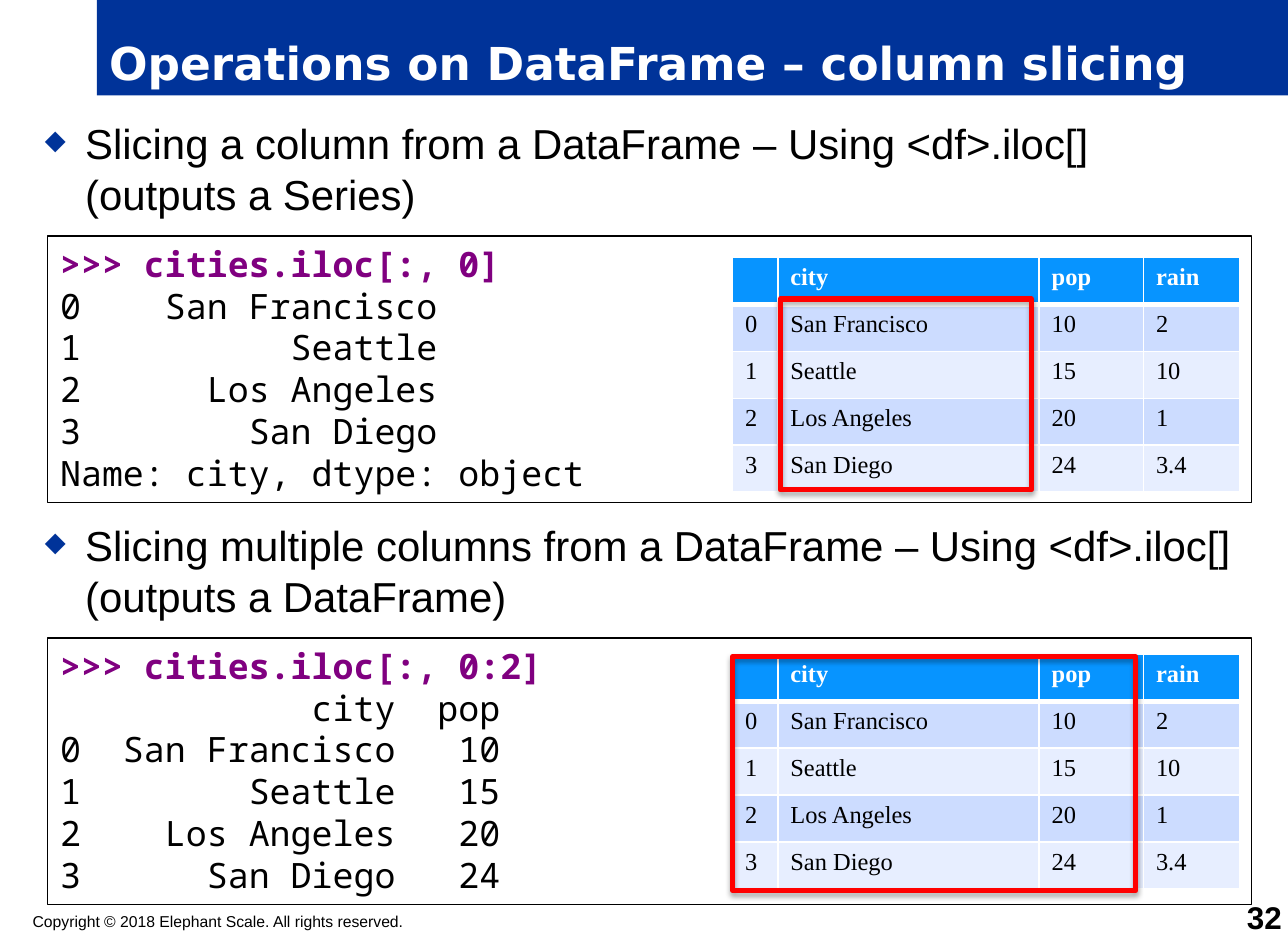
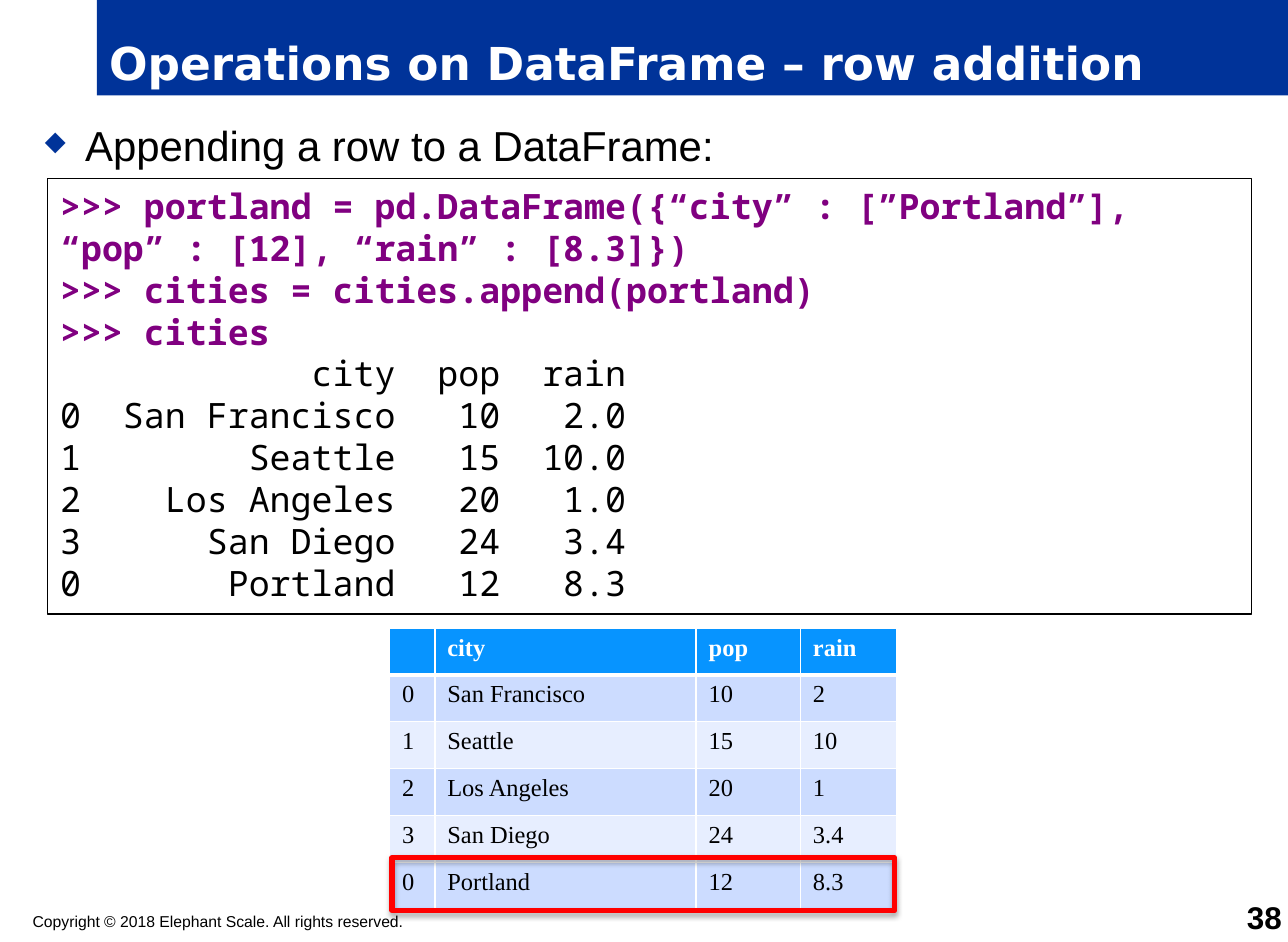
import pptx
import pptx.dml.color
import pptx.enum.shapes
import pptx.enum.text
import pptx.util
from lxml import etree
from pptx.oxml.ns import qn

Inches = pptx.util.Inches
Pt = pptx.util.Pt
ANCHOR = pptx.enum.text.MSO_ANCHOR
ALIGN = pptx.enum.text.PP_ALIGN
RECT = pptx.enum.shapes.MSO_SHAPE.RECTANGLE

COLORS = {
    "band": "003399", "white": "FFFFFF", "black": "000000",
    "command": "800080", "highlight": "FF0000",
    "header": "0794FF", "odd": "CCDCFF", "even": "E7EEFF",
}
COPYRIGHT = "Copyright © 2018 Elephant Scale. All rights reserved."
COLUMN_WIDTHS = [0.36, 2.08, 0.83, 0.77]
HEADER = ["", "city", "pop", "rain"]
CITIES = [
    ["0", "San Francisco", "10", "2"],
    ["1", "Seattle", "15", "10"],
    ["2", "Los Angeles", "20", "1"],
    ["3", "San Diego", "24", "3.4"],
]
PORTLAND = ["0", "Portland", "12", "8.3"]

COLUMN_CODE = """>>> cities.iloc[:, 0]
0    San Francisco
1          Seattle
2      Los Angeles
3        San Diego
Name: city, dtype: object"""

COLUMNS_CODE = """>>> cities.iloc[:, 0:2]
            city  pop
0  San Francisco   10
1        Seattle   15
2    Los Angeles   20
3      San Diego   24"""

APPEND_CODE = """>>> portland = pd.DataFrame({“city” : [”Portland”], “pop” : [12], “rain” : [8.3]})
>>> cities = cities.append(portland)
>>> cities
            city  pop  rain
0  San Francisco   10   2.0
1        Seattle   15  10.0
2    Los Angeles   20   1.0
3      San Diego   24   3.4
0       Portland   12   8.3"""


def rgb(name):
    return pptx.dml.color.RGBColor.from_string(COLORS[name])


def add_xml(parent, tag, **attrs):
    return etree.SubElement(parent, qn(tag), attrs)


def style(p, font, size, color="black", bold=False):
    p.font.name = font
    p.font.size = Pt(size)
    p.font.bold = bold
    p.font.color.rgb = rgb(color)


def add_rect(s, box, fill=None, line=None, width=0.75):
    sp = s.shapes.add_shape(RECT, *map(Inches, box))
    sp.shadow.inherit = False
    if fill:
        sp.fill.solid()
        sp.fill.fore_color.rgb = rgb(fill)
    else:
        sp.fill.background()
    if line:
        sp.line.color.rgb = rgb(line)
        sp.line.width = Pt(width)
    else:
        sp.line.fill.background()
    return sp


def add_text(s, box, text, margins=True):
    """Add a wrapping text box and return its frame and first paragraph."""
    tf = s.shapes.add_textbox(*map(Inches, box)).text_frame
    tf.word_wrap = True
    if not margins:
        tf.margin_left = tf.margin_right = tf.margin_top = tf.margin_bottom = 0
    p = tf.paragraphs[0]
    p.text = text
    return tf, p


def add_frame(prs, title, number):
    """Add a slide with the title band, copyright line and page number."""
    s = prs.slides.add_slide(prs.slide_layouts[6])
    tf = add_rect(s, (0.77, 0, 9.48, 0.76), "band").text_frame
    tf.word_wrap = True
    tf.vertical_anchor = ANCHOR.BOTTOM
    p = tf.paragraphs[0]
    p.text = title
    p.alignment = ALIGN.LEFT
    style(p, "DejaVu Sans", 26, "white", True)

    tf, p = add_text(s, (0.26, 7.26, 5.95, 0.15), COPYRIGHT, margins=False)
    style(p, "Arial", 9)

    tf, p = add_text(s, (9.6, 7.2, 0.6, 0.25), str(number), margins=False)
    tf.vertical_anchor = ANCHOR.BOTTOM
    p.alignment = ALIGN.RIGHT
    style(p, "Arial", 18, bold=True)
    return s


def add_bullet(s, top, text, height=0.95):
    tf, p = add_text(s, (0.26, top, 9.74, height), text)
    pPr = p._p.get_or_add_pPr()
    pPr.set("marL", str(Inches(0.32)))
    pPr.set("indent", str(Inches(-0.32)))
    add_xml(add_xml(pPr, "a:buClr"), "a:srgbClr", val=COLORS["band"])
    add_xml(pPr, "a:buSzPct", val="65000")
    add_xml(pPr, "a:buChar", char="◆")
    style(p, "Arial", 24)


def add_code(s, top, height, code):
    """Add a code box; prompt lines are bold and purple."""
    tf = add_rect(s, (0.38, top, 9.58, height), "white", "black").text_frame
    tf.word_wrap = True
    tf.vertical_anchor = ANCHOR.TOP
    for i, line in enumerate(code.split("\n")):
        p = tf.add_paragraph() if i else tf.paragraphs[0]
        p.text = line
        p.alignment = ALIGN.LEFT
        is_command = line.startswith(">>>")
        style(p, "Noto Sans Mono", 20, "command" if is_command else "black", is_command)


def set_borders(cell, top, bottom):
    tcPr = cell._tc.get_or_add_tcPr()
    for side, width in (("L", 1), ("R", 1), ("T", top), ("B", bottom)):
        ln = add_xml(tcPr, f"a:ln{side}", w=str(Pt(width)))
        add_xml(add_xml(ln, "a:solidFill"), "a:srgbClr", val=COLORS["white"])


def add_city_table(s, left, top, height, cities):
    rows = [HEADER] + cities
    table = s.shapes.add_table(
        len(rows), len(HEADER), Inches(left), Inches(top),
        Inches(sum(COLUMN_WIDTHS)), Inches(height)).table
    for column, width in zip(table.columns, COLUMN_WIDTHS):
        column.width = Inches(width)
    for r, row in enumerate(rows):
        is_header = r == 0
        fill = "header" if is_header else "odd" if r % 2 else "even"
        for c, text in enumerate(row):
            cell = table.cell(r, c)
            set_borders(cell, 3 if r == 1 else 1, 3 if is_header else 1)
            cell.fill.solid()
            cell.fill.fore_color.rgb = rgb(fill)
            p = cell.text_frame.paragraphs[0]
            if text:
                p.text = text
            style(p, "Times New Roman", 14, "white" if is_header else "black", is_header)
            if not text:
                add_xml(p._p, "a:endParaRPr", sz="1400")


def add_highlight(s, *box):
    """Add a red outline with a soft shadow below it."""
    sp = add_rect(s, box, line="highlight", width=3)
    effects = sp._element.spPr.find(qn("a:effectLst"))
    shadow = add_xml(effects, "a:outerShdw", blurRad=str(Pt(3.1)), dist=str(Pt(1.8)),
                     dir="5400000", rotWithShape="0")
    color = add_xml(shadow, "a:srgbClr", val=COLORS["black"])
    add_xml(color, "a:alpha", val="35000")


def add_column_slicing(prs):
    s = add_frame(prs, "Operations on DataFrame – column slicing", 32)
    add_bullet(s, 0.89, "Slicing a column from a DataFrame – Using <df>.iloc[] (outputs a Series)")
    add_bullet(s, 4.09, "Slicing multiple columns from a DataFrame – Using <df>.iloc[] (outputs a DataFrame)")
    add_code(s, 1.88, 2.12, COLUMN_CODE)
    add_code(s, 5.08, 2.12, COLUMNS_CODE)
    add_city_table(s, 5.83, 2.05, 1.87, CITIES)
    add_highlight(s, 6.21, 2.38, 2, 1.52)
    add_city_table(s, 5.83, 5.21, 1.87, CITIES)
    add_highlight(s, 5.83, 5.23, 3.21, 1.86)


def add_row_addition(prs):
    s = add_frame(prs, "Operations on DataFrame – row addition", 38)
    add_bullet(s, 0.9, "Appending a row to a DataFrame:", 0.5)
    add_code(s, 1.42, 3.47, APPEND_CODE)
    add_city_table(s, 3.1, 5, 2.24, CITIES + [PORTLAND])
    add_highlight(s, 3.12, 6.83, 4, 0.42)


def main():
    prs = pptx.Presentation()
    prs.slide_width = Inches(10.25)
    prs.slide_height = Inches(7.5)
    add_column_slicing(prs)
    add_row_addition(prs)
    prs.save("out.pptx")


if __name__ == "__main__":
    main()
